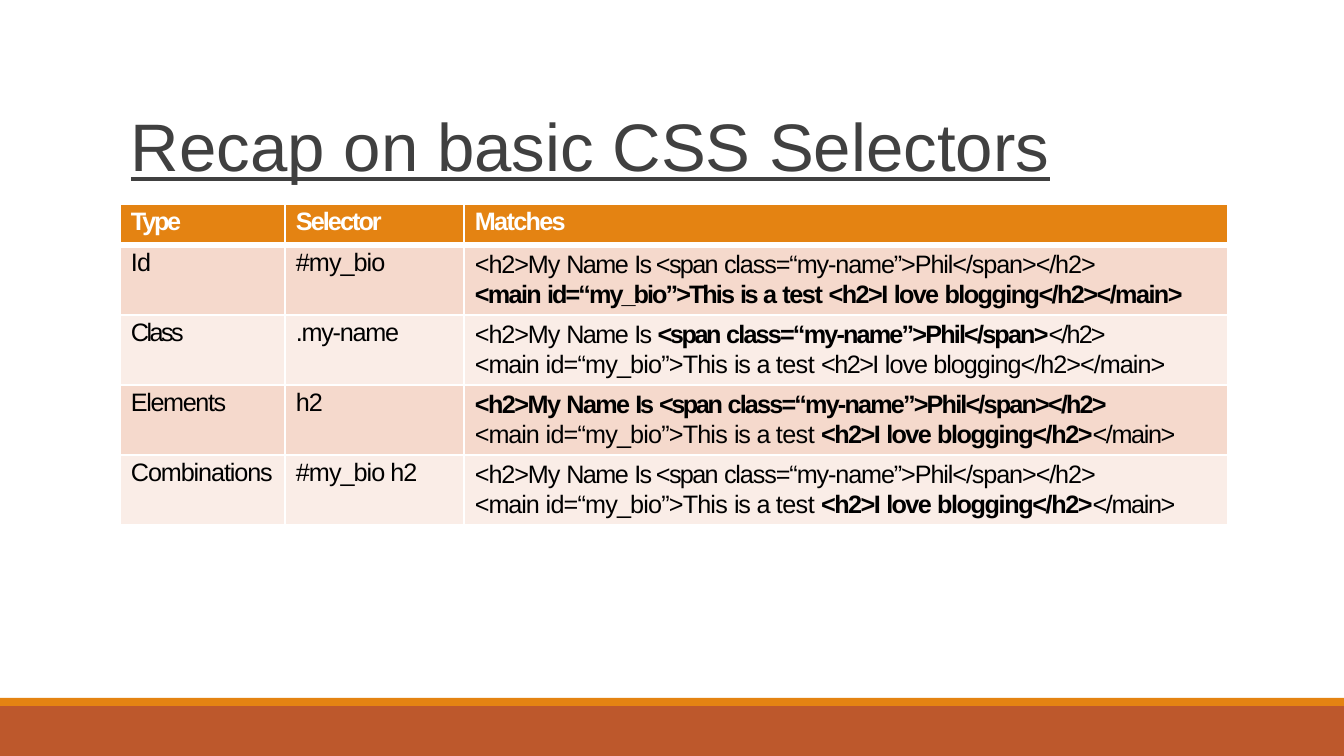
from lxml.etree import SubElement
from pptx import Presentation
from pptx.dml.color import RGBColor as RGB
from pptx.enum.shapes import MSO_SHAPE as SHAPE
from pptx.enum.text import MSO_ANCHOR as ANCHOR, MSO_AUTO_SIZE as SIZE, PP_ALIGN as ALIGN
from pptx.oxml.ns import qn
from pptx.util import Pt

# Colours
RUST, ORANGE = RGB(0xBD, 0x58, 0x2C), RGB(0xE4, 0x83, 0x12)
ROSE, PALE = RGB(0xF5, 0xD9, 0xCC), RGB(0xFA, 0xED, 0xE7)
GREY, BLACK, WHITE = RGB(0x40, 0x40, 0x40), RGB(0, 0, 0), RGB(255, 255, 255)

# Content: a cell is a list of lines, a line a list of (text, spacing, bold)
TITLE = "Recap on basic CSS Selectors"
HEAD = [("Type", -1.6), ("Selector", -1.4), ("Matches", -1.2)]

NAME = [("<h2>My ", -0.8, False), ("Name ", -1.1, False), ("Is <span ", -1.2, False),
        ("class=“my-name”>Phil</span></h2>", -0.8, False)]
NAME_SPAN = NAME[:2] + [("Is ", -1.2, False), ("<span ", -1.7, True),
                        ("class=“my-name”>Phil</span>", -1.3, True), ("</h2>", -1.3, False)]
NAME_BOLD = [("<h2>My ", -1.1, True), ("Name ", -1.2, True), ("Is ", -1.6, True),
             ("<span ", -1.7, True), ("class=“my-name”>Phil</span></h2>", -1.3, True)]
BIO = [("<main ", -0.8, False), ("id=“my_bio”>This ", -0.6, False), ("is ", -0.9, False),
       ("a ", -1.4, False), ("test ", -0.4, False)]
BIO_PLAIN = BIO + [("<h2>I ", -1.1, False), ("love blogging</h2></main>", -0.7, False)]
BIO_H2 = BIO + [("<h2>I ", -1.1, True), ("love ", -1.2, True), ("blogging</h2>", -1, True),
                ("</main>", -1, False)]
BIO_BOLD = [("<main ", -1.2, True), ("id=“my_bio”>This ", -1.4, True), ("is ", -1.8, True),
            ("a ", -1.2, True), ("test ", -1, True), ("<h2>I ", -1.1, True),
            ("love ", -1.2, True), ("blogging</h2></main>", -1.1, True)]

ROWS = [
    (("Id", -0.6), ("#my_bio", -0.7), [NAME, BIO_BOLD]),
    (("Class", -1.8), (".my-name", -0.9), [NAME_SPAN, BIO_PLAIN]),
    (("Elements", -1), ("h2", -0.8), [NAME_BOLD, BIO_H2]),
    (("Combinations", -0.8), ("#my_bio h2", -0.7), [NAME, BIO_H2]),
]

# Layout in px
WIDE, HIGH = 1344, 756
COLS = (165, 179, 764)
TOP_ROW, ROW = 41, 70
BARS = [(706, 50, RUST), (698, 8, ORANGE)]


def px(n):
    return round(n * 914400 / 100.8)


def write(cell, lines, color):
    frame = cell.text_frame
    for i, line in enumerate(lines):
        para = frame.add_paragraph() if i else frame.paragraphs[0]
        para.font.size, para.font.name = Pt(18), "Arial"
        para.font.color.rgb = color
        para.space_before = Pt(0 if i else 2.6)
        if len(lines) > 1:
            para.line_spacing = Pt(21.4)
        for text, gap, bold in line:
            run = para.add_run()
            run.text, run.font.bold = text, bold
            run.font.size, run.font.name = Pt(18), "Arial"
            run.font.color.rgb = color
            run._r.get_or_add_rPr().set("spc", str(round(gap * 100)))


def edge(cell, widths):
    props = cell._tc.get_or_add_tcPr()
    for i, (side, width) in enumerate(zip("LRTB", widths)):
        line = SubElement(props, qn("a:ln" + side), w=str(Pt(width)))
        fill = SubElement(line, qn("a:solidFill"))
        SubElement(fill, qn("a:srgbClr"), val=str(WHITE))
        props.insert(i, line)


def style(cell, fill, widths):
    cell.margin_left, cell.margin_top = px(11), px(4)
    cell.margin_right = cell.margin_bottom = 0
    cell.vertical_anchor = ANCHOR.TOP
    cell.fill.solid()
    cell.fill.fore_color.rgb = fill
    edge(cell, widths)


deck = Presentation()
deck.slide_width, deck.slide_height = px(WIDE), px(HIGH)
slide = deck.slides.add_slide(deck.slide_layouts[5])
shapes = slide.shapes

# Footer bars
for y, h, color in BARS:
    bar = shapes.add_shape(SHAPE.RECTANGLE, 0, px(y), px(WIDE), px(h))
    bar.shadow.inherit = False
    bar.fill.solid()
    bar.fill.fore_color.rgb = color
    bar.line.fill.background()

# Title
title = shapes.title
title.left, title.top, title.width, title.height = map(px, (112, 101, 1119, 84))
frame = title.text_frame
frame.margin_left, frame.margin_top = px(19), px(1)
frame.margin_right = frame.margin_bottom = 0
frame.auto_size, frame.vertical_anchor = SIZE.NONE, ANCHOR.BOTTOM
frame.text = TITLE
para = frame.paragraphs[0]
para.alignment = ALIGN.LEFT
para.font.size, para.font.name, para.font.underline = Pt(48), "Arial", True
para.font.color.rgb = GREY

# Selector table
total = TOP_ROW + ROW * len(ROWS)
table = shapes.add_table(len(ROWS) + 1, len(COLS), px(120), px(204),
                         px(sum(COLS)), px(total)).table
table.first_row = table.horz_banding = False
for col, width in zip(table.columns, COLS):
    col.width = px(width)
for r, cells in enumerate([HEAD] + ROWS):
    table.rows[r].height = px(ROW if r else TOP_ROW)
    fill = ORANGE if r == 0 else ROSE if r % 2 else PALE
    widths = (1.5, 1.5, 4.25 if r == 1 else 1.5, 1.5 if r else 4.25)
    for c, item in enumerate(cells):
        lines = item if isinstance(item, list) else [[(*item, r == 0)]]
        cell = table.cell(r, c)
        style(cell, fill, widths)
        write(cell, lines, BLACK if r else WHITE)

deck.save("out.pptx")
